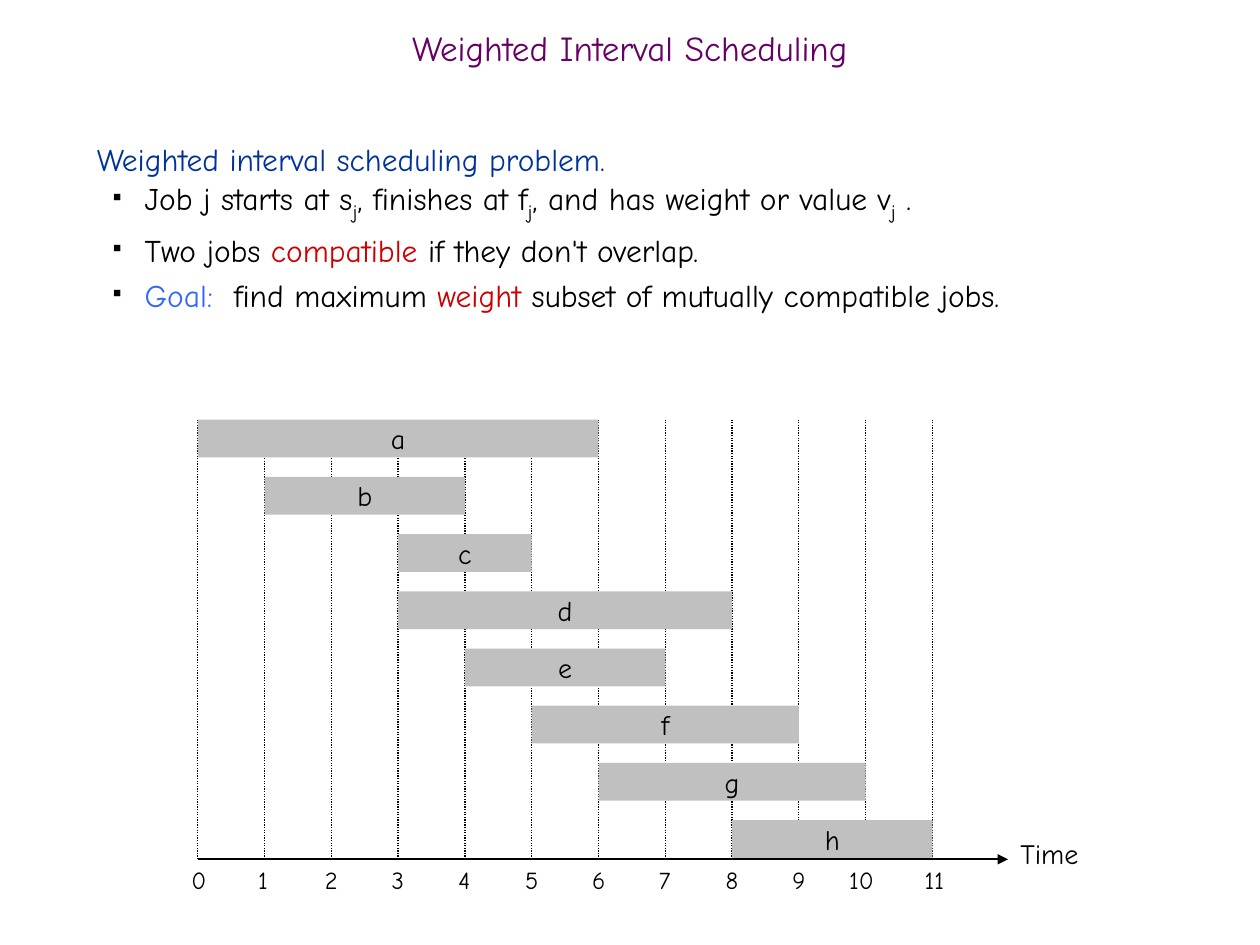
"""Build the weighted interval scheduling slide."""
from dataclasses import dataclass

from lxml.etree import SubElement
from pptx import Presentation
from pptx.dml.color import RGBColor
from pptx.enum.dml import MSO_LINE
from pptx.enum.shapes import MSO_CONNECTOR, MSO_SHAPE
from pptx.enum.text import MSO_ANCHOR, PP_ALIGN
from pptx.oxml.ns import qn
from pptx.util import Inches, Pt

FONT = "Comic Neue"
BLACK, RED = "000000", "CC0000"
ORIGIN, UNIT = 1.57, 0.53
CHART_TOP, AXIS_TOP, AXIS_END = 3.33, 6.82, 8
BAR_HEIGHT, LAST_BAR_TOP = 0.3, 6.51
LAST_TICK = 11


@dataclass(frozen=True)
class Job:
    name: str
    start: int
    finish: int


@dataclass(frozen=True)
class Span:
    text: str
    color: str = BLACK
    subscript: bool = False


JOBS = [
    Job("a", 0, 6), Job("b", 1, 4), Job("c", 3, 5), Job("d", 3, 8),
    Job("e", 4, 7), Job("f", 5, 9), Job("g", 6, 10), Job("h", 8, 11),
]
INDEX = Span("j", subscript=True)
BULLETS = [
    [Span("Job j starts at s"), INDEX, Span(", finishes at f"), INDEX,
     Span(", and has weight or value v"), INDEX, Span(" .")],
    [Span("Two jobs "), Span("compatible ", RED), Span("if they don't overlap.")],
    [Span("Goal:  ", "3366FF"), Span("find maximum "), Span("weight", RED),
     Span(" subset of mutually compatible jobs.")],
]
LABEL_SHIFTS = {10: 0.23, 11: 0.16}


def rgb(color: str) -> RGBColor:
    return RGBColor.from_string(color)


def time_x(time: int) -> float:
    return ORIGIN + UNIT * time


def style_font(font, size: float, color: str = BLACK) -> None:
    font.name = FONT
    font.size = Pt(size)
    font.color.rgb = rgb(color)


def add_text(slide, left: float, top: float, width: float, height: float,
             text: str, size: float, color: str = BLACK):
    box = slide.shapes.add_textbox(Inches(left), Inches(top), Inches(width), Inches(height))
    text_frame = box.text_frame
    text_frame.word_wrap = True
    text_frame.text = text
    style_font(text_frame.paragraphs[0].runs[0].font, size, color)
    return text_frame


def add_line(slide, start: tuple[float, float], end: tuple[float, float], width: float):
    connector = slide.shapes.add_connector(
        MSO_CONNECTOR.STRAIGHT, *(Inches(value) for value in (*start, *end)))
    connector.line.color.rgb = rgb(BLACK)
    connector.line.width = Pt(width)
    SubElement(connector.element.spPr, qn("a:effectLst"))
    return connector


def add_bullet(text_frame, spans: list[Span]) -> None:
    paragraph = text_frame.add_paragraph()
    paragraph.level = 1
    paragraph.line_spacing = Pt(26)
    properties = paragraph._p.get_or_add_pPr()
    properties.set("marL", str(Inches(0.38)))
    properties.set("indent", str(Inches(-0.25)))
    bullet_color = SubElement(properties, qn("a:buClr"))
    SubElement(bullet_color, qn("a:srgbClr"), val=BLACK)
    SubElement(properties, qn("a:buSzPct"), val="35000")
    SubElement(properties, qn("a:buChar"), char="■")
    for span in spans:
        run = paragraph.add_run()
        run.text = span.text
        style_font(run.font, 20 if span.subscript else 18, span.color)
        if span.subscript:
            run._r.get_or_add_rPr().set("baseline", "-25000")


def add_heading(slide) -> None:
    title = add_text(slide, 0, 0.17, 10, 0.5, "Weighted Interval Scheduling", 20, "660066")
    title.vertical_anchor = MSO_ANCHOR.MIDDLE
    title.paragraphs[0].alignment = PP_ALIGN.CENTER
    title.paragraphs[0].line_spacing = 0.7


def add_body(slide) -> None:
    body = add_text(slide, 0.67, 1, 8.58, 5.92,
                    "Weighted interval scheduling problem.", 18, "003399")
    body.paragraphs[0].line_spacing = Pt(26)
    for spans in BULLETS:
        add_bullet(body, spans)


def add_axis(slide) -> None:
    axis = add_line(slide, (ORIGIN, AXIS_TOP), (AXIS_END, AXIS_TOP), 1.25)
    SubElement(axis.line._get_or_add_ln(), qn("a:tailEnd"), type="triangle")
    add_text(slide, AXIS_END, 6.59, 0.83, 0.41, "Time", 16)
    for time in range(LAST_TICK + 1):
        x = time_x(time)
        grid_line = add_line(slide, (x, AXIS_TOP), (x, CHART_TOP), 0.75)
        grid_line.line.dash_style = MSO_LINE.ROUND_DOT
        add_text(slide, x - LABEL_SHIFTS.get(time, 0.15), AXIS_TOP, 0.45, 0.37, str(time), 14)


def add_job(slide, job: Job, top: float) -> None:
    bar = slide.shapes.add_shape(
        MSO_SHAPE.RECTANGLE, Inches(time_x(job.start)), Inches(top),
        Inches(UNIT * (job.finish - job.start)), Inches(BAR_HEIGHT))
    bar.shadow.inherit = False
    bar.fill.solid()
    bar.fill.fore_color.rgb = rgb("C0C0C0")
    bar.line.fill.background()
    text_frame = bar.text_frame
    text_frame.word_wrap = False
    text_frame.vertical_anchor = MSO_ANCHOR.MIDDLE
    text_frame.text = job.name
    paragraph = text_frame.paragraphs[0]
    paragraph.alignment = PP_ALIGN.CENTER
    style_font(paragraph.runs[0].font, 16)


def main() -> None:
    presentation = Presentation()
    presentation.slide_width = Inches(10)
    presentation.slide_height = Inches(7.5)
    slide = presentation.slides.add_slide(presentation.slide_layouts[6])
    add_heading(slide)
    add_body(slide)
    add_axis(slide)
    row_step = (LAST_BAR_TOP - CHART_TOP) / (len(JOBS) - 1)
    for row, job in enumerate(JOBS):
        add_job(slide, job, CHART_TOP + row * row_step)
    presentation.save("out.pptx")


if __name__ == "__main__":
    main()
